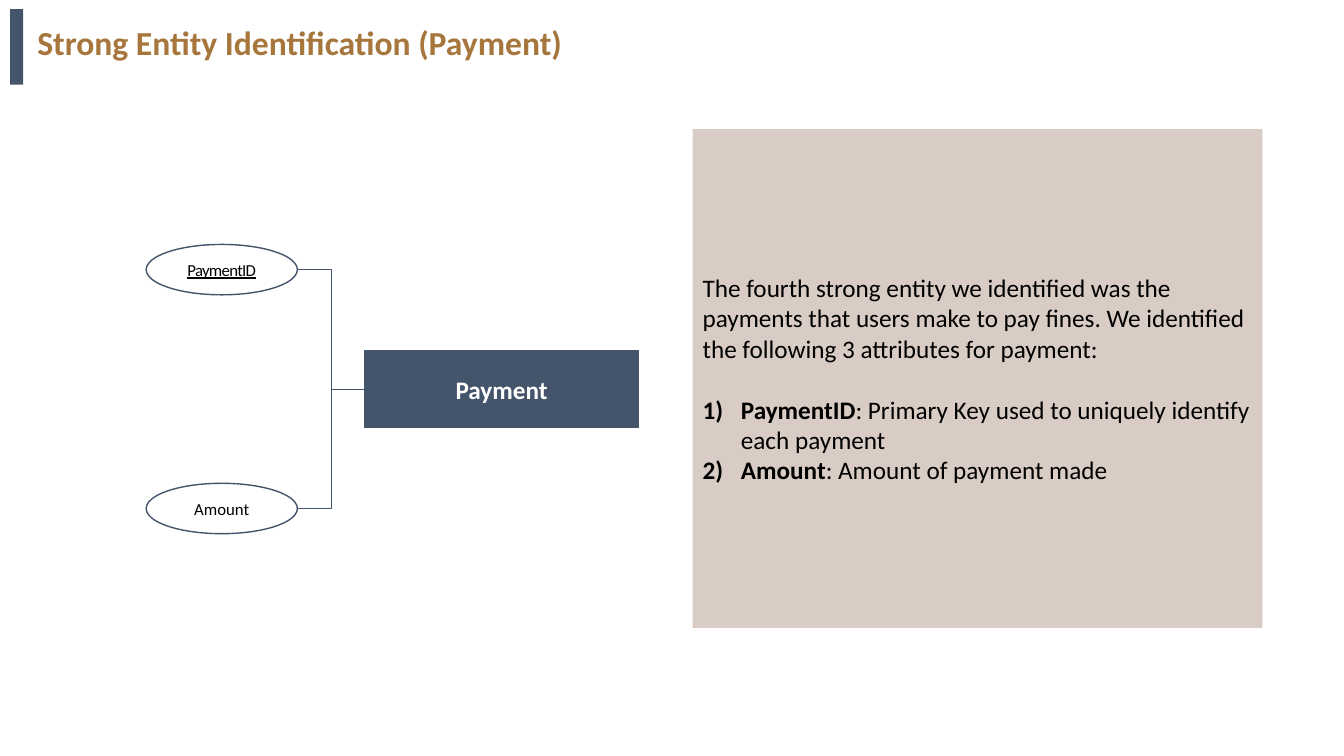
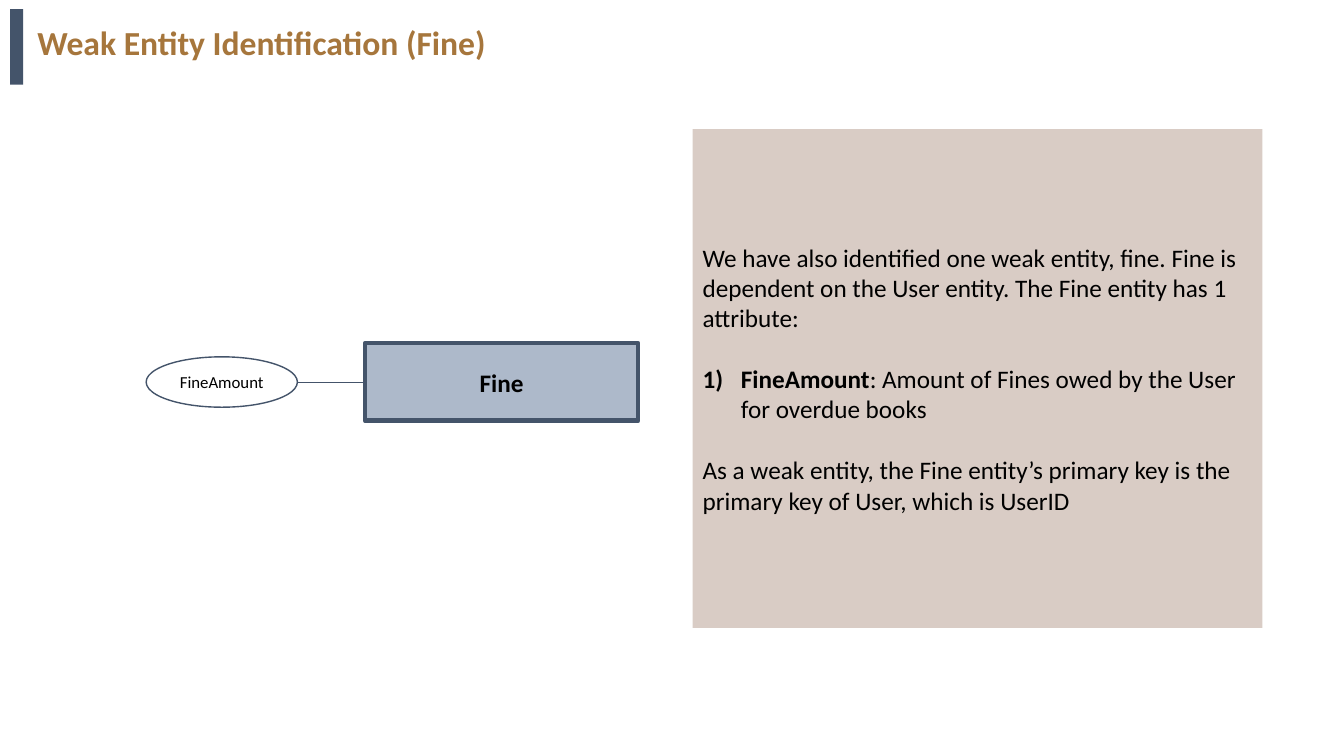
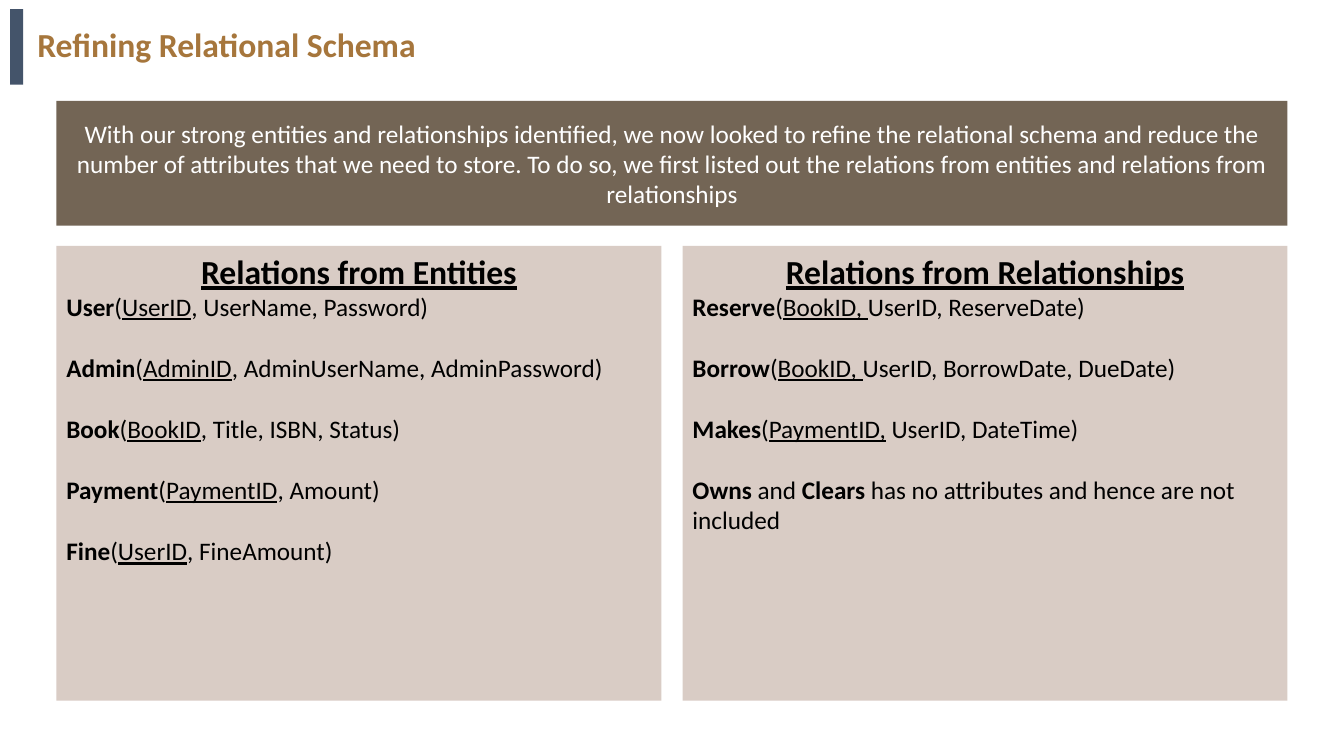
from lxml import etree
from pptx import Presentation
from pptx.dml.color import RGBColor
from pptx.enum.shapes import MSO_CONNECTOR, MSO_SHAPE
from pptx.enum.text import MSO_ANCHOR, MSO_AUTO_SIZE, PP_ALIGN
from pptx.oxml.ns import qn
from pptx.util import Inches, Pt

RECTANGLE, ELLIPSE = MSO_SHAPE.RECTANGLE, MSO_SHAPE.OVAL
STRAIGHT, ELBOW = MSO_CONNECTOR.STRAIGHT, MSO_CONNECTOR.ELBOW
TOP, MIDDLE = MSO_ANCHOR.TOP, MSO_ANCHOR.MIDDLE
LEFT, CENTER = PP_ALIGN.LEFT, PP_ALIGN.CENTER

FONT = "Calibri"
NAVY = RGBColor(0x44, 0x54, 0x6A)
PALE_BLUE = RGBColor(0xAD, 0xB9, 0xCA)
GOLD = RGBColor(0xA6, 0x76, 0x3C)
SAND = RGBColor(0xD9, 0xCC, 0xC5)
BROWN = RGBColor(0x73, 0x65, 0x55)
BLACK = RGBColor(0, 0, 0)
WHITE = RGBColor(0xFF, 0xFF, 0xFF)

# Text styles
PLAIN = {"name": FONT, "size": Pt(18), "bold": False, "underline": False}
BOLD = PLAIN | {"bold": True}
KEY = PLAIN | {"underline": True}
HEADING = BOLD | {"size": Pt(24), "underline": True}
TITLE = BOLD | {"size": Pt(24)}
SMALL = PLAIN | {"size": Pt(12)}
SMALL_KEY = KEY | {"size": Pt(12)}
LINE_GAP = Pt(22)  # one empty line of 18 pt text

# Content: a paragraph is (spans, format), a span is (text, style)
GAP = {"space_before": LINE_GAP}
ENTITY_SLIDES = [
    {
        "title": "Strong Entity Identification (Payment)",
        "entity": "Payment", "middle": 3.86,
        "look": {"fill": NAVY, "color": WHITE, "line_width": 1},
        "attributes": [("PaymentID", SMALL_KEY), ("Amount", SMALL)],
        "notes": [
            ([("The fourth strong entity we identified was the payments that users "
               "make to pay fines. We identified the following 3 attributes for "
               "payment:", PLAIN)], {}),
            ([("PaymentID", BOLD),
              (": Primary Key used to uniquely identify each payment", PLAIN)],
             GAP | {"numbered": True}),
            ([("Amount", BOLD), (": Amount of payment made", PLAIN)],
             {"numbered": True}),
        ],
    },
    {
        "title": "Weak Entity Identification (Fine)",
        "entity": "Fine", "middle": 3.79,
        "look": {"fill": PALE_BLUE, "color": BLACK, "line_width": 3.25},
        "attributes": [("FineAmount", SMALL)],
        "notes": [
            ([("We have also identified one weak entity, fine. Fine is dependent on "
               "the User entity. The Fine entity has 1 attribute:", PLAIN)], {}),
            ([("FineAmount", BOLD),
              (": Amount of Fines owed by the User for overdue books", PLAIN)],
             GAP | {"numbered": True}),
            ([("As a weak entity, the Fine entity’s primary key is the primary key "
               "of User, which is UserID", PLAIN)], GAP),
        ],
    },
]

SCHEMA_TITLE = "Refining Relational Schema"
SCHEMA_INTRO = (
    "With our strong entities and relationships identified, we now looked to refine "
    "the relational schema and reduce the number of attributes that we need to store. "
    "To do so, we first listed out the relations from entities and relations from "
    "relationships")


def relation(name, key, rest):
    return [(name, BOLD), ("(", PLAIN), (key, KEY), (rest + ")", PLAIN)]


SCHEMA_PANELS = [
    ("Relations from Entities", [
        relation("User", "UserID", ", UserName, Password"),
        relation("Admin", "AdminID", ", AdminUserName, AdminPassword"),
        relation("Book", "BookID", ", Title, ISBN, Status"),
        relation("Payment", "PaymentID", ", Amount"),
        relation("Fine", "UserID", ", FineAmount"),
    ]),
    ("Relations from Relationships", [
        relation("Reserve", "BookID, ", "UserID, ReserveDate"),
        relation("Borrow", "BookID, ", "UserID, BorrowDate, DueDate"),
        relation("Makes", "PaymentID,", " UserID, DateTime"),
        [("Owns ", BOLD), ("and ", PLAIN), ("Clears", BOLD),
         (" has no attributes and hence are not included", PLAIN)],
    ]),
]

# Measures in inches
ATTRIBUTE_LEFT, ATTRIBUTE_WIDTH, ATTRIBUTE_HEIGHT = 1.45, 1.5, 0.5
ATTRIBUTE_STEP = 2.37
ENTITY_LEFT, ENTITY_WIDTH, ENTITY_HEIGHT = 3.62, 2.71, 0.77
NOTES_PLACE = (6.87, 1.28, 5.65, 4.95)
SCHEMA_LEFT, SCHEMA_WIDTH, PANEL_GAP = 0.56, 12.21, 0.21


def write(frame, paragraphs, color, align=LEFT, anchor=MIDDLE):
    """Fill a text frame with formatted paragraphs."""
    frame.word_wrap = True
    frame.vertical_anchor = anchor
    for index, (spans, layout) in enumerate(paragraphs):
        para = frame.add_paragraph() if index else frame.paragraphs[0]
        para.alignment = align
        for name, value in layout.items():
            if name == "numbered":
                number_paragraph(para)
            else:
                setattr(para, name, value)
        for text, style in spans:
            span = para.add_run()
            span.text = text
            span.font.color.rgb = color
            for name, value in style.items():
                setattr(span.font, name, value)
            if style is SMALL_KEY:
                span.font._element.set("spc", "-50")


def number_paragraph(para):
    """Number as 1), 2) with a hanging indent."""
    props = para._p.get_or_add_pPr()
    indent = Inches(0.38)
    props.set("marL", str(indent))
    props.set("indent", str(-indent))
    etree.SubElement(props, qn("a:buAutoNum"), type="arabicParenR")


def add_box(page, place, fill=None, line_width=0, kind=RECTANGLE):
    box = page.shapes.add_shape(kind, *map(Inches, place))
    box.shadow.inherit = False
    if fill is None:
        box.fill.background()
    else:
        box.fill.solid()
        box.fill.fore_color.rgb = fill
    if line_width:
        box.line.color.rgb = NAVY
        box.line.width = Pt(line_width)
    else:
        box.line.fill.background()
    return box


def add_link(page, start, end):
    kind = STRAIGHT if start[1] == end[1] else ELBOW
    link = page.shapes.add_connector(kind, *map(Inches, start + end))
    link.line.color.rgb = NAVY
    link.line.width = Pt(0.5)
    etree.SubElement(link._element.spPr, qn("a:effectLst"))


def add_page(deck, title, title_top=0.15):
    page = deck.slides.add_slide(deck.slide_layouts[5])
    holder = page.shapes.title
    place = dict(left=0.27, top=title_top, width=10.79, height=0.58)
    for name, value in place.items():
        setattr(holder, name, Inches(value))
    write(holder.text_frame, [([(title, TITLE)], {"line_spacing": 0.9})], GOLD)
    holder.text_frame.auto_size = MSO_AUTO_SIZE.NONE
    return page


def add_entity_page(deck, content):
    page = add_page(deck, content["title"])
    look, middle = content["look"], content["middle"]

    # Explanation
    notes = add_box(page, NOTES_PLACE, SAND)
    write(notes.text_frame, content["notes"], BLACK)

    # Attributes, spread evenly about the entity's middle
    attributes = content["attributes"]
    for index, attribute in enumerate(attributes):
        center = middle + (index - (len(attributes) - 1) / 2) * ATTRIBUTE_STEP
        oval = add_box(page, (ATTRIBUTE_LEFT, center - ATTRIBUTE_HEIGHT / 2,
                              ATTRIBUTE_WIDTH, ATTRIBUTE_HEIGHT),
                       line_width=1, kind=ELLIPSE)
        write(oval.text_frame, [([attribute], {})], BLACK, CENTER)
        add_link(page, (ATTRIBUTE_LEFT + ATTRIBUTE_WIDTH, center),
                 (ENTITY_LEFT, middle))

    # Entity
    entity = add_box(page, (ENTITY_LEFT, middle - ENTITY_HEIGHT / 2,
                            ENTITY_WIDTH, ENTITY_HEIGHT),
                     look["fill"], look["line_width"])
    write(entity.text_frame, [([(content["entity"], BOLD)], {})],
          look["color"], CENTER)


def add_schema_page(deck):
    page = add_page(deck, SCHEMA_TITLE, title_top=0.17)
    intro = add_box(page, (SCHEMA_LEFT, 1, SCHEMA_WIDTH, 1.24), BROWN)
    write(intro.text_frame, [([(SCHEMA_INTRO, PLAIN)], {})], WHITE, CENTER)

    # Two equal panels below the introduction
    width = (SCHEMA_WIDTH - PANEL_GAP) / 2
    for column, (heading, relations) in enumerate(SCHEMA_PANELS):
        left = SCHEMA_LEFT + column * (width + PANEL_GAP)
        panel = add_box(page, (left, 2.44, width, 4.51), SAND)
        paragraphs = [([(heading, HEADING)], {"alignment": CENTER})]
        paragraphs += [(spans, GAP if index else {})
                       for index, spans in enumerate(relations)]
        write(panel.text_frame, paragraphs, BLACK, anchor=TOP)


def add_layout_bar(deck):
    """Place the shared side bar on the title-only layout."""
    bar = add_box(deck.slides[0], (0.1, 0.09, 0.13, 0.75), NAVY)
    deck.slide_layouts[5].shapes._spTree.append(bar._element)


def main():
    deck = Presentation()
    deck.slide_width, deck.slide_height = Inches(13.33), Inches(7.5)
    for content in ENTITY_SLIDES:
        add_entity_page(deck, content)
    add_schema_page(deck)
    add_layout_bar(deck)
    deck.save("out.pptx")


if __name__ == "__main__":
    main()
